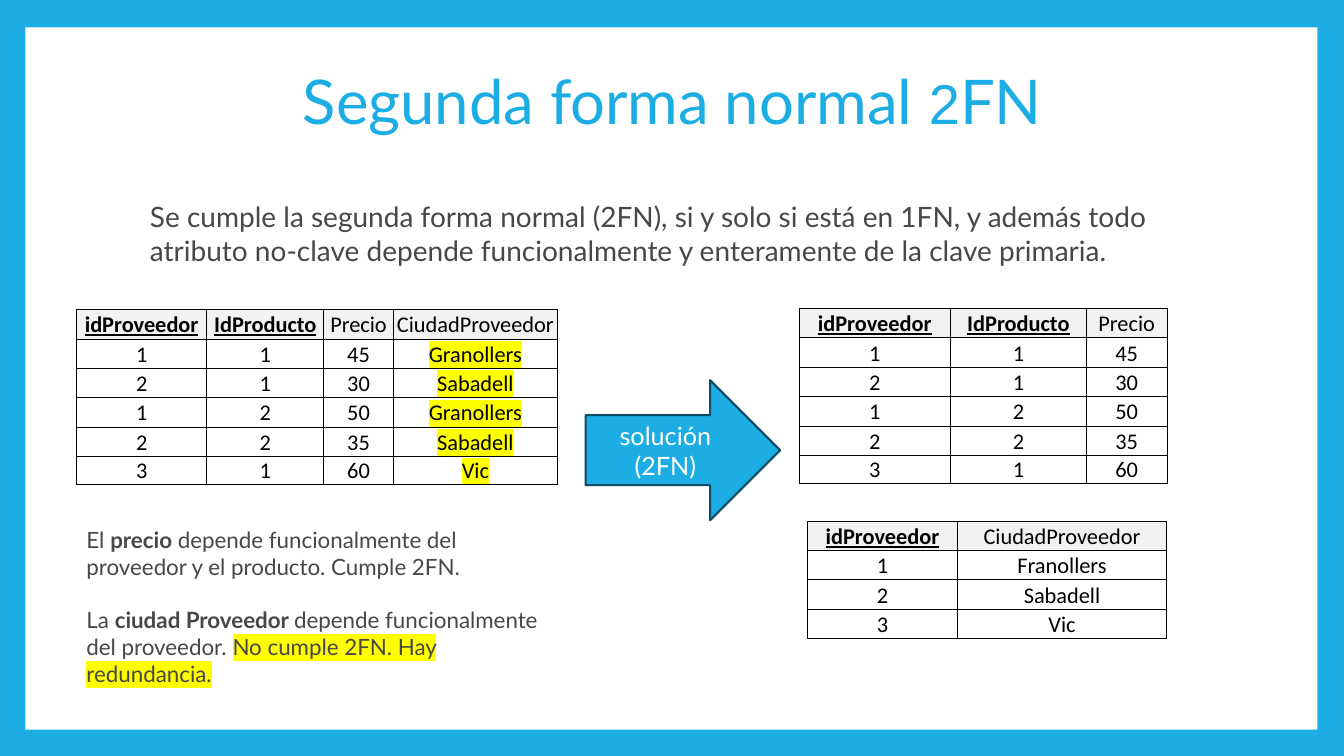
from dataclasses import dataclass

from lxml import etree
from pptx import Presentation
from pptx import util as u
from pptx.dml.color import RGBColor
from pptx.enum import shapes, text
from pptx.oxml import ns


@dataclass(frozen=True)
class Theme:
    accent: str = "1CADE4"
    accent_dark: str = "0C4C64"
    paper: str = "FFFFFF"
    body: str = "474747"
    ink: str = "000000"
    header: str = "F2F2F2"
    marker: str = "FFFF00"
    font: str = "Lato"
    digit_font: str = "Arial"
    table_font: str = "Calibri"
    title_size: float = 44
    digit_size: float = 40
    lead_size: float = 20
    arrow_size: float = 18
    note_size: float = 16
    grid_width: float = 0.5
    outline_width: float = 1.5


@dataclass(frozen=True)
class Box:
    left: float
    top: float
    width: float
    height: float

    def lengths(self) -> tuple:
        return tuple(u.Cm(value) for value in (self.left, self.top, self.width, self.height))


@dataclass(frozen=True)
class Relation:
    left: float
    top: float
    widths: tuple
    heights: tuple
    names: tuple
    rows: tuple
    keys: int
    marked: tuple = ()


THEME = Theme()
ROW = 0.74
LAST_ROW = 0.69
PRICES = (
    ("1", "1", "45"),
    ("2", "1", "30"),
    ("1", "2", "50"),
    ("2", "2", "35"),
    ("3", "1", "60"),
)
CITIES = {"1": "Granollers", "2": "Sabadell", "3": "Vic"}
PRICE_HEIGHTS = (ROW,) * len(PRICES) + (LAST_ROW,)

RELATIONS = (
    Relation(1.93, 7.8, (3.28, 2.95, 1.75, 4.14), PRICE_HEIGHTS,
             ("idProveedor", "IdProducto", "Precio", "CiudadProveedor"),
             tuple((*row, CITIES[row[0]]) for row in PRICES), keys=2, marked=(3,)),
    Relation(20.14, 7.77, (3.81, 3.43, 2.03), PRICE_HEIGHTS,
             ("idProveedor", "IdProducto", "Precio"), PRICES, keys=2),
    Relation(20.35, 13.13, (3.78, 5.27), (ROW,) * 4,
             ("idProveedor", "CiudadProveedor"),
             (("1", "Franollers"), ("2", "Sabadell"), ("3", "Vic")), keys=1),
)

NOTES = (
    (("El ", {}), ("precio", {"bold": True}),
     (" depende funcionalmente del proveedor y el producto. Cumple 2FN.", {})),
    (("La ", {}), ("ciudad Proveedor ", {"bold": True}),
     ("depende funcionalmente del proveedor. ", {}),
     ("No cumple 2FN. Hay redundancia.", {"highlight": THEME.marker})),
)


def add_text(paragraph, content: str, *, size: float, color: str = THEME.body,
             font: str = THEME.font, bold: bool = False, underline: bool = False,
             highlight: str = "") -> None:
    run = paragraph.add_run()
    run.text = content
    run.font.name = font
    run.font.size = u.Pt(size)
    run.font.bold = bold
    run.font.underline = underline
    run.font.color.rgb = RGBColor.from_string(color)
    if highlight:
        mark = etree.Element(ns.qn("a:highlight"))
        etree.SubElement(mark, ns.qn("a:srgbClr"), val=highlight)
        run.font.fill.solid()
        run.font.color.rgb = RGBColor.from_string(color)
        run.font._element.find(ns.qn("a:solidFill")).addnext(mark)


def add_text_box(slide, box: Box):
    frame = slide.shapes.add_textbox(*box.lengths()).text_frame
    frame.word_wrap = True
    frame.auto_size = text.MSO_AUTO_SIZE.SHAPE_TO_FIT_TEXT
    return frame


def add_filled_shape(slide, kind, box: Box, color: str):
    shape = slide.shapes.add_shape(kind, *box.lengths())
    shape.shadow.inherit = False
    shape.fill.solid()
    shape.fill.fore_color.rgb = RGBColor.from_string(color)
    shape.line.fill.background()
    return shape


def add_borders(cell) -> None:
    properties = cell._tc.get_or_add_tcPr()
    for side in ("lnL", "lnR", "lnT", "lnB"):
        line = etree.SubElement(properties, ns.qn(f"a:{side}"), w=str(u.Pt(THEME.grid_width)))
        fill = etree.SubElement(line, ns.qn("a:solidFill"))
        etree.SubElement(fill, ns.qn("a:srgbClr"), val=THEME.ink)


def add_relation(slide, relation: Relation) -> None:
    box = Box(relation.left, relation.top, sum(relation.widths), sum(relation.heights))
    records = (relation.names, *relation.rows)
    table = slide.shapes.add_table(len(records), len(relation.names), *box.lengths()).table
    table.first_row = False
    table.horz_banding = False
    for column, width in zip(table.columns, relation.widths):
        column.width = u.Cm(width)
    for row, height in zip(table.rows, relation.heights):
        row.height = u.Cm(height)
    for row_index, record in enumerate(records):
        is_header = row_index == 0
        for column_index, content in enumerate(record):
            cell = table.cell(row_index, column_index)
            cell.margin_left = cell.margin_right = cell.margin_top = u.Cm(0.03)
            cell.margin_bottom = 0
            cell.vertical_anchor = text.MSO_ANCHOR.BOTTOM
            add_borders(cell)
            if is_header:
                cell.fill.solid()
                cell.fill.fore_color.rgb = RGBColor.from_string(THEME.header)
            else:
                cell.fill.background()
            is_key = is_header and column_index < relation.keys
            is_marked = not is_header and column_index in relation.marked
            paragraph = cell.text_frame.paragraphs[0]
            paragraph.alignment = text.PP_ALIGN.CENTER
            add_text(paragraph, content, size=THEME.note_size, color=THEME.ink,
                     font=THEME.table_font, bold=is_key, underline=is_key,
                     highlight=THEME.marker if is_marked else "")


def add_title(slide) -> None:
    title = slide.shapes.title
    title.left, title.top, title.width, title.height = Box(3.23, 0.76, 27.43, 3.76).lengths()
    title.text_frame.vertical_anchor = text.MSO_ANCHOR.MIDDLE
    paragraph = title.text_frame.paragraphs[0]
    paragraph.alignment = text.PP_ALIGN.CENTER
    paragraph.line_spacing = 0.9
    add_text(paragraph, "Segunda forma normal ", size=THEME.title_size, color=THEME.accent)
    add_text(paragraph, "2", size=THEME.digit_size, color=THEME.accent, font=THEME.digit_font)
    add_text(paragraph, "FN", size=THEME.title_size, color=THEME.accent)


def add_notes(slide) -> None:
    frame = add_text_box(slide, Box(1.93, 13.13, 12.12, 4.37))
    for index, pieces in enumerate(NOTES):
        paragraph = frame.add_paragraph() if index else frame.paragraphs[0]
        paragraph.space_before = u.Pt(1.2 * THEME.note_size if index else 0)
        for content, style in pieces:
            add_text(paragraph, content, size=THEME.note_size, **style)


def add_arrow(slide) -> None:
    arrow = add_filled_shape(slide, shapes.MSO_SHAPE.RIGHT_ARROW,
                             Box(14.76, 9.58, 4.9, 3.53), THEME.accent)
    arrow.line.color.rgb = RGBColor.from_string(THEME.accent_dark)
    arrow.line.width = u.Pt(THEME.outline_width)
    arrow.text_frame.word_wrap = True
    arrow.text_frame.vertical_anchor = text.MSO_ANCHOR.MIDDLE
    paragraph = arrow.text_frame.paragraphs[0]
    paragraph.alignment = text.PP_ALIGN.CENTER
    add_text(paragraph, "solución (2FN)", size=THEME.arrow_size, color=THEME.paper)


def main() -> None:
    presentation = Presentation()
    presentation.slide_width, presentation.slide_height = u.Cm(33.87), u.Cm(19.05)
    slide = presentation.slides.add_slide(presentation.slide_layouts.get_by_name("Title Only"))
    slide.background.fill.solid()
    slide.background.fill.fore_color.rgb = RGBColor.from_string(THEME.accent)
    paper = add_filled_shape(slide, shapes.MSO_SHAPE.RECTANGLE,
                             Box(0.64, 0.69, 32.56, 17.7), THEME.paper)
    slide.shapes.title.element.addprevious(paper.element)
    add_title(slide)
    lead = add_text_box(slide, Box(3.53, 4.9, 27.43, 1.96))
    add_text(lead.paragraphs[0],
             "Se cumple la segunda forma normal (2FN), si y solo si está en 1FN, y además todo "
             "atributo no-clave depende funcionalmente y enteramente de la clave primaria.",
             size=THEME.lead_size)
    for relation in RELATIONS:
        add_relation(slide, relation)
    add_notes(slide)
    add_arrow(slide)
    presentation.save("out.pptx")


if __name__ == "__main__":
    main()
